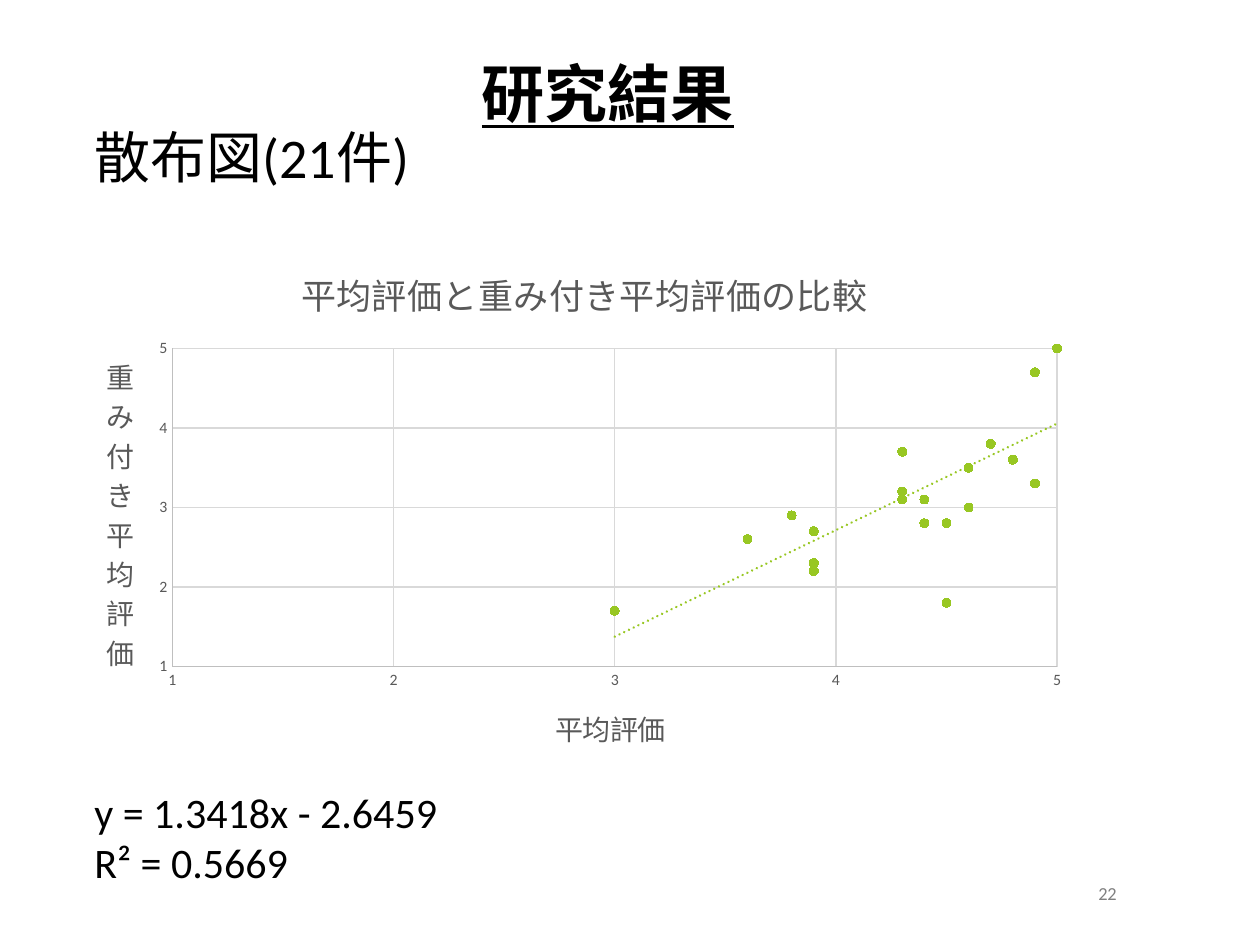
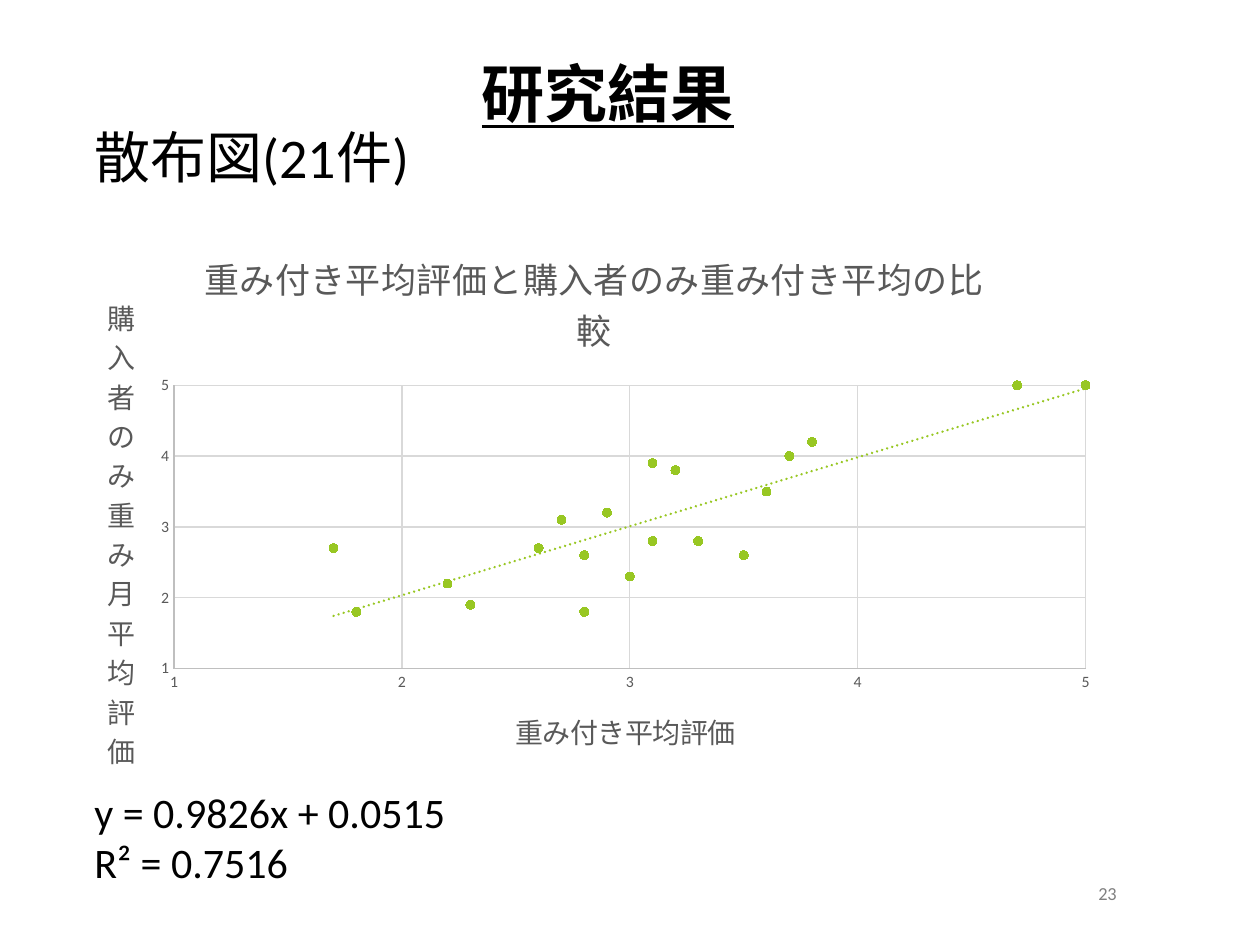
from lxml import etree
from pptx import Presentation
from pptx.chart.data import XyChartData
from pptx.dml.color import RGBColor
from pptx.enum.chart import XL_CHART_TYPE as CT, XL_MARKER_STYLE as MS, XL_TICK_MARK as TM
from pptx.enum.text import MSO_ANCHOR as ANCHOR, MSO_AUTO_SIZE as AUTO, PP_ALIGN as ALIGN
from pptx.oxml import parse_xml
from pptx.oxml.ns import nsdecls, qn
from pptx.util import Inches, Pt

BLACK = RGBColor(0x00, 0x00, 0x00)
PAGE_GRAY = RGBColor(0x80, 0x80, 0x80)
CHART_GRAY = RGBColor(0x59, 0x59, 0x59)
AXIS_GRAY = RGBColor(0xBF, 0xBF, 0xBF)
GRID_GRAY = RGBColor(0xD9, 0xD9, 0xD9)
GREEN = RGBColor(0x98, 0xC7, 0x23)
FONT = "Calibri"

TREND = f"""<c:trendline {nsdecls("c", "a")}>
  <c:spPr><a:ln w="19050" cap="rnd">
    <a:solidFill><a:srgbClr val="{GREEN}"/></a:solidFill><a:prstDash val="sysDot"/>
  </a:ln></c:spPr>
  <c:trendlineType val="linear"/><c:dispRSqr val="0"/><c:dispEq val="0"/>
</c:trendline>"""

AVERAGE = [4.5, 4.4, 4.5, 3.9, 3.9, 4.6, 4.3, 3.9, 4.9, 4.3, 4.3,
           4.4, 3, 3.6, 4.8, 4.9, 4.6, 3.8, 5, 5, 4.7]
WEIGHTED = [1.8, 3.1, 2.8, 2.7, 2.3, 3.5, 3.1, 2.2, 3.3, 3.7, 3.2,
            2.8, 1.7, 2.6, 3.6, 4.7, 3, 2.9, 5, 5, 3.8]
BUYERS = [1.8, 2.8, 2.6, 3.1, 1.9, 2.6, 3.9, 2.2, 2.8, 4, 3.8,
          1.8, 2.7, 2.7, 3.5, 5, 2.3, 3.2, 5, 5, 4.2]

RESULTS = [
    dict(page="22", title="平均評価と重み付き平均評価の比較",
         x_title="平均評価", y_title="重み付き平均評価", x=AVERAGE, y=WEIGHTED,
         fit=["y = 1.3418x - 2.6459", "R² = 0.5669"],
         box=(0.65, 1.91, 7.98, 4.28), plot=(0.09, 0.2, 0.88, 0.59)),
    dict(page="23", title="重み付き平均評価と購入者のみ重み付き平均の比較",
         x_title="重み付き平均評価", y_title="購入者のみ重み月平均評価", x=WEIGHTED, y=BUYERS,
         fit=["y = 0.9826x + 0.0515", "R² = 0.7516"],
         box=(0.65, 1.78, 8.13, 4.41), plot=(0.09, 0.29, 0.89, 0.51)),
]


def write(tf, *lines, size, color=BLACK, bold=False, underline=None, align=None):
    for i, line in enumerate(lines):
        p = tf.add_paragraph() if i else tf.paragraphs[0]
        p.alignment = align
        r = p.add_run()
        r.text = line
        f = r.font
        f.name, f.size, f.bold, f.underline = FONT, Pt(size), bold, underline
        f.color.rgb = color


def add_box(s, *box):
    tf = s.shapes.add_textbox(*map(Inches, box)).text_frame
    tf.word_wrap = True
    return tf


prs = Presentation()
prs.slide_width, prs.slide_height = Inches(10), Inches(7.5)

for res in RESULTS:
    s = prs.slides.add_slide(prs.slide_layouts[6])

    page = add_box(s, 8.5, 7, 0.58, 0.17)
    page.vertical_anchor = ANCHOR.MIDDLE
    write(page, res["page"], size=10.5, color=PAGE_GRAY, align=ALIGN.CENTER)

    heading = add_box(s, 0, 0.38, 9.65, 0.71)
    write(heading, "研究結果", size=36, bold=True, underline=True, align=ALIGN.CENTER)
    subtitle = add_box(s, 0.65, 0.92, 2.83, 0.64)
    write(subtitle, "散布図(21件)", size=32)
    fit = add_box(s, 0.65, 6.19, 3.19, 1.21)
    write(fit, *res["fit"], size=24)
    for tf in (heading, subtitle, fit):
        tf.auto_size = AUTO.SHAPE_TO_FIT_TEXT

    data = XyChartData()
    points = data.add_series("Series 1")
    for x, y in zip(res["x"], res["y"]):
        points.add_data_point(x, y)
    chart = s.shapes.add_chart(CT.XY_SCATTER, *map(Inches, res["box"]), data).chart
    chart.has_legend = False
    chart.font.name, chart.font.size = FONT, Pt(10)
    chart.font.color.rgb = BLACK
    chart.plots[0].vary_by_categories = False

    write(chart.chart_title.text_frame, res["title"], size=20, color=CHART_GRAY)
    chart.chart_title.include_in_layout = False
    for axis, title in ((chart.category_axis, res["x_title"]), (chart.value_axis, res["y_title"])):
        axis.minimum_scale, axis.maximum_scale, axis.major_unit = 1, 5, 1
        axis.major_tick_mark = axis.minor_tick_mark = TM.NONE
        axis.has_major_gridlines = True
        for line, color in ((axis.format.line, AXIS_GRAY),
                            (axis.major_gridlines.format.line, GRID_GRAY)):
            line.color.rgb = color
            line.width = Pt(0.75)
        labels = axis.tick_labels
        labels.number_format, labels.number_format_is_linked = "General", False
        labels.font.name, labels.font.size = FONT, Pt(9)
        labels.font.color.rgb = CHART_GRAY
        write(axis.axis_title.text_frame, title, size=16, color=CHART_GRAY)
    body = chart.value_axis.axis_title.text_frame._txBody.find(qn("a:bodyPr"))
    body.set("rot", "0")
    body.set("vert", "wordArtVertRtl")

    series = chart.plots[0].series[0]
    series.smooth = False
    series.format.line.fill.background()
    marker = series.marker
    marker.style, marker.size = MS.CIRCLE, 5
    marker.format.fill.solid()
    marker.format.fill.fore_color.rgb = GREEN
    marker.format.line.color.rgb = GREEN
    series._element.find(qn("c:xVal")).addprevious(parse_xml(TREND))

    area = chart._chartSpace.chart.plotArea
    for old in area.findall(qn("c:layout")):
        area.remove(old)
    layout = etree.Element(qn("c:layout"))
    area.insert(0, layout)
    manual = etree.SubElement(layout, qn("c:manualLayout"))
    settings = [("layoutTarget", "inner"), ("xMode", "edge"), ("yMode", "edge")]
    for tag, val in settings + list(zip("xywh", res["plot"])):
        etree.SubElement(manual, qn(f"c:{tag}")).set("val", str(val))

prs.save("out.pptx")
